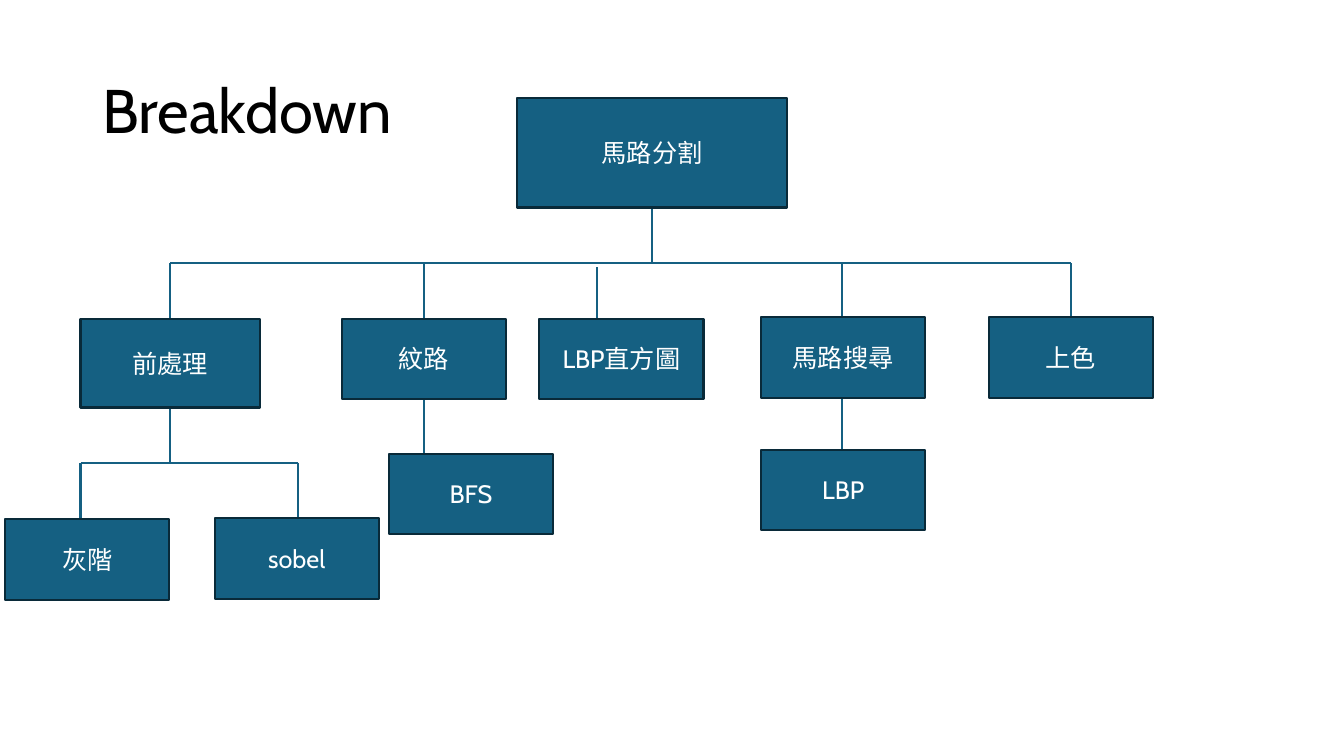
"""Build the breakdown chart of the road segmentation task."""
from dataclasses import dataclass

from lxml import etree
from pptx import Presentation
from pptx import util as u
from pptx.dml.color import RGBColor
from pptx.enum import shapes, text
from pptx.oxml.ns import qn


@dataclass(frozen=True)
class Theme:
    font: str = "Cabin"
    ink: RGBColor = RGBColor(0x00, 0x00, 0x00)
    fill: RGBColor = RGBColor(0x15, 0x60, 0x82)
    border: RGBColor = RGBColor(0x09, 0x2A, 0x39)
    label: RGBColor = RGBColor(0xFF, 0xFF, 0xFF)
    title_size: u.Pt = u.Pt(44)
    label_size: u.Pt = u.Pt(18)
    line_width: u.Pt = u.Pt(1.5)


theme = Theme()


def format_text(paragraph, size, color, alignment):
    paragraph.alignment = alignment
    for run in paragraph.runs:
        run.font.name = theme.font
        run.font.size = size
        run.font.color.rgb = color


presentation = Presentation()
presentation.slide_width = u.Cm(33.87)
presentation.slide_height = u.Cm(19.05)
slide = presentation.slides.add_slide(presentation.slide_layouts[5])

title = slide.shapes.title
title.left, title.top = u.Cm(2.33), u.Cm(1.01)
title.width, title.height = u.Cm(29.21), u.Cm(3.68)
title.text_frame.text = "Breakdown"
title.text_frame.vertical_anchor = text.MSO_ANCHOR.MIDDLE
heading = title.text_frame.paragraphs[0]
heading.line_spacing = 0.9
format_text(heading, theme.title_size, theme.ink, text.PP_ALIGN.LEFT)

buses = [(4.29, 27, 6.63), (2.03, 7.52, 11.66)]
stem_length = 1.39
stems = [
    (16.43, 5.24), (4.29, 6.63), (10.69, 6.65), (15.04, 6.73), (21.23, 6.65), (27, 6.63),
    (4.29, 10.26), (2.03, 11.66), (7.52, 11.66), (10.69, 10.08), (21.23, 10.06),
]
lines = [(left, y, right, y) for left, right, y in buses]
lines += [(x, top, x, top + stem_length) for x, top in stems]
for ends in lines:
    connector = slide.shapes.add_connector(
        shapes.MSO_CONNECTOR.STRAIGHT, *[u.Cm(value) for value in ends]
    )
    connector.line.color.rgb = theme.fill
    connector.line.width = theme.line_width
    etree.SubElement(connector.element.spPr, qn("a:effectLst"))

task_size = (4.14, 2.03)
boxes = [
    ("馬路分割", 13.03, 2.46, (6.81, 2.77)),
    ("前處理", 2.03, 8.03, (4.52, 2.24)),
    ("紋路", 8.61, 8.03, task_size),
    ("LBP直方圖", 13.59, 8.03, task_size),
    ("馬路搜尋", 19.18, 8, task_size),
    ("上色", 24.92, 8, task_size),
    ("灰階", 0.13, 13.08, task_size),
    ("sobel", 5.41, 13.06, task_size),
    ("BFS", 9.8, 11.43, task_size),
    ("LBP", 19.18, 11.33, task_size),
]
for label, left, top, (width, height) in boxes:
    box = slide.shapes.add_shape(
        shapes.MSO_SHAPE.RECTANGLE, u.Cm(left), u.Cm(top), u.Cm(width), u.Cm(height)
    )
    box.shadow.inherit = False
    box.fill.solid()
    box.fill.fore_color.rgb = theme.fill
    box.line.color.rgb = theme.border
    box.line.width = theme.line_width
    box.text_frame.text = label
    box.text_frame.vertical_anchor = text.MSO_ANCHOR.MIDDLE
    format_text(
        box.text_frame.paragraphs[0], theme.label_size, theme.label, text.PP_ALIGN.CENTER
    )

presentation.save("out.pptx")
